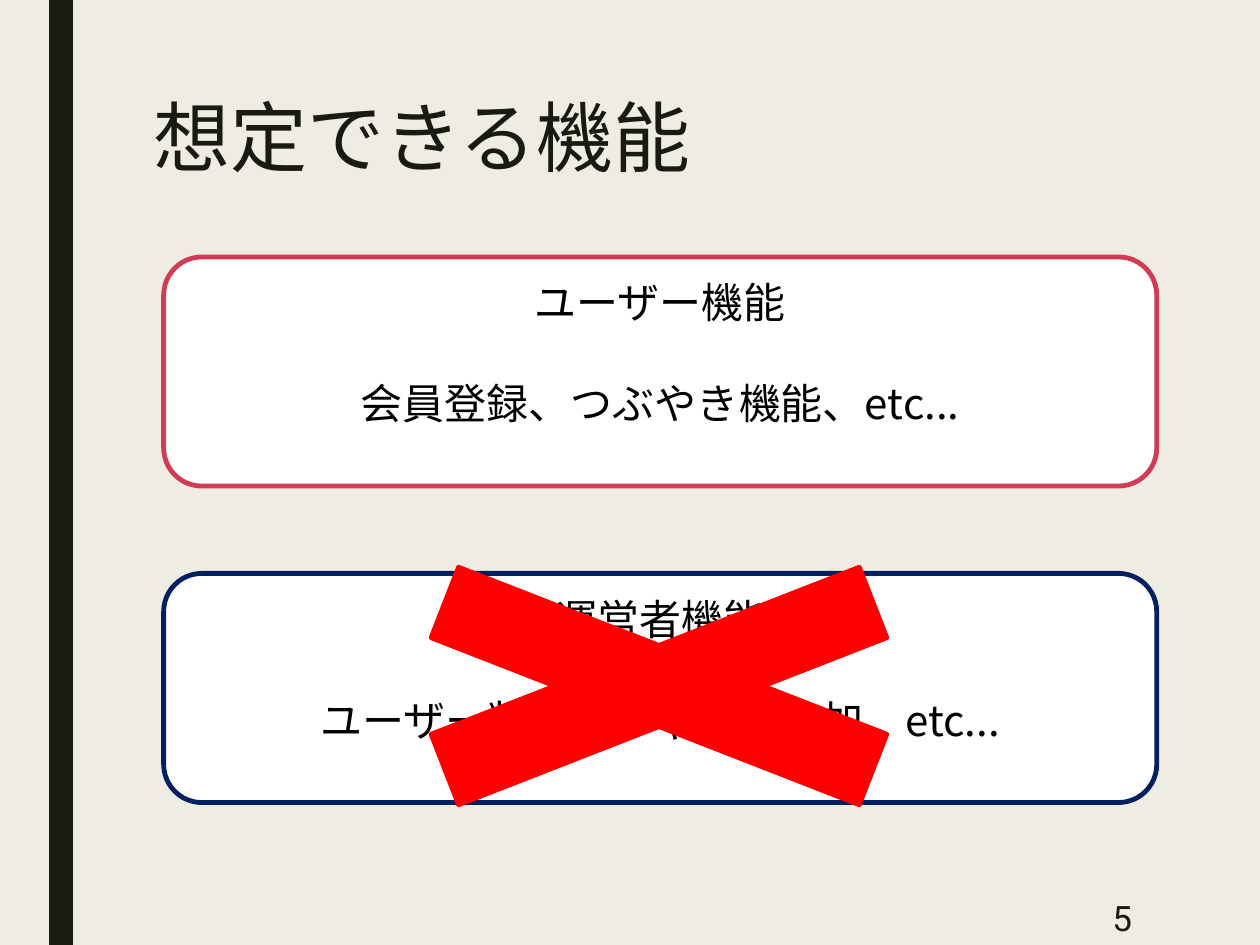
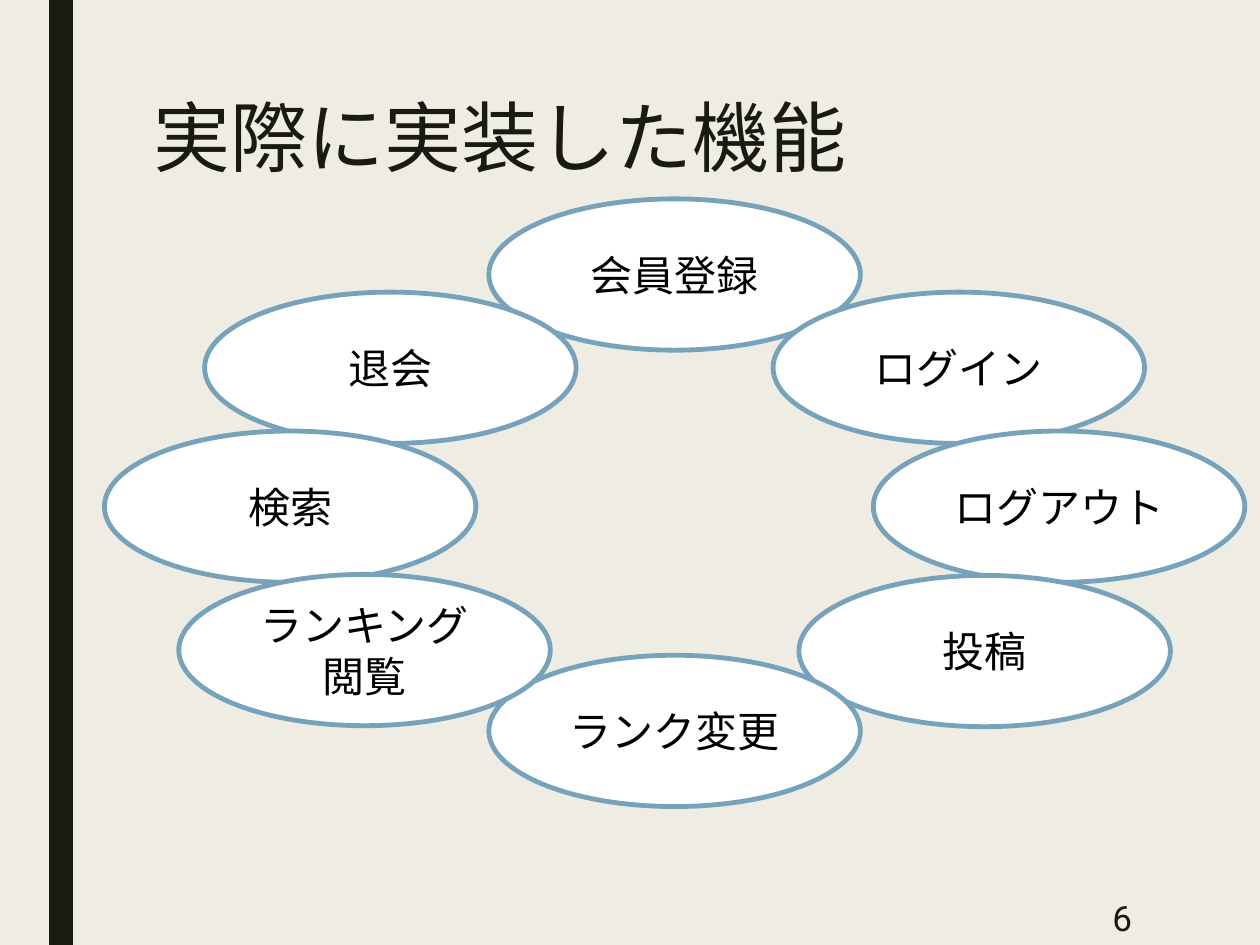
from dataclasses import dataclass

from pptx import Presentation
from pptx.dml.color import RGBColor
from pptx.enum.shapes import MSO_SHAPE
from pptx.enum.text import MSO_ANCHOR, MSO_AUTO_SIZE, PP_ALIGN
from pptx.presentation import Presentation as Deck
from pptx.shapes.autoshape import Shape
from pptx.slide import Slide
from pptx.text.text import TextFrame
from pptx.util import Cm, Pt

RECTANGLE = MSO_SHAPE.RECTANGLE
ROUNDED = MSO_SHAPE.ROUNDED_RECTANGLE
OVAL = MSO_SHAPE.OVAL
CROSS = MSO_SHAPE.MATH_MULTIPLY
TOP, MIDDLE = MSO_ANCHOR.TOP, MSO_ANCHOR.MIDDLE
LEFT, CENTER, RIGHT = PP_ALIGN.LEFT, PP_ALIGN.CENTER, PP_ALIGN.RIGHT
NO_FIT = MSO_AUTO_SIZE.NONE
TITLE_ONLY = 5


@dataclass(frozen=True)
class Theme:
    paper: str = "EFEDE3"
    ink: str = "191B0E"
    white: str = "FFFFFF"
    black: str = "000000"
    rose: str = "D13B56"
    navy: str = "002060"
    sky: str = "77A2BB"
    red: str = "FF0000"
    font: str = "Roboto"
    card_font: str = "Noto Sans CJK JP"
    title_size: float = 44
    body_size: float = 24
    number_size: float = 20
    outline: float = 2.75


@dataclass(frozen=True)
class Area:
    left: float
    top: float
    width: float
    height: float

    def lengths(self) -> tuple[Cm, Cm, Cm, Cm]:
        return Cm(self.left), Cm(self.top), Cm(self.width), Cm(self.height)


@dataclass(frozen=True)
class Card:
    heading: str
    features: str
    top: float
    color: str


@dataclass(frozen=True)
class Feature:
    name: str
    offset: float
    top: float


THEME = Theme()
BAND = Area(0.99, 0, 0.48, 19.05)
TITLE = Area(2.84, 1.9, 20.02, 4.11)
NUMBER = Area(19.74, 17.93, 3.33, 1.12)
CROSS_AREA = Area(4.98, 10.59, 16.61, 6.48)
CARD_LEFT, CARD_WIDTH, CARD_HEIGHT = 3.3, 20.02, 4.62
CARD_GAP, CARD_BOTTOM_INSET = 29, 0.89
RING_CENTER, OVAL_WIDTH, OVAL_HEIGHT = 13.6, 7.49, 3.05

CARDS = (
    Card("ユーザー機能", "会員登録、つぶやき機能、etc...", 5.18, THEME.rose),
    Card("運営者機能", "ユーザー削除、ジャンル追加、etc...", 11.56, THEME.navy),
)
FEATURES = (
    Feature("会員登録", 0, 4.01),
    Feature("ログイン", 5.73, 5.89),
    Feature("ログアウト", 7.75, 8.69),
    Feature("退会", -5.73, 5.89),
    Feature("投稿", 6.25, 11.6),
    Feature("検索", -7.75, 8.69),
    Feature("ランク変更", 0, 13.21),
    Feature("ランキング閲覧", -6.25, 11.58),
)


def write(frame: TextFrame, *lines: str, size: float = THEME.body_size,
          color: str = THEME.black, font: str = THEME.font,
          align: PP_ALIGN = CENTER, anchor: MSO_ANCHOR = MIDDLE,
          spacing: float | None = None, gap: float = 0) -> None:
    frame.word_wrap = True
    frame.auto_size = NO_FIT
    frame.vertical_anchor = anchor
    for index, line in enumerate(lines):
        para = frame.add_paragraph() if index else frame.paragraphs[0]
        para.alignment = align
        para.line_spacing = spacing
        para.space_before = Pt(gap if index else 0)
        span = para.add_run()
        span.text = line
        span.font.name = font
        span.font.size = Pt(size)
        span.font.color.rgb = RGBColor.from_string(color)


def draw(page: Slide, kind: MSO_SHAPE, area: Area, fill: str,
         line: str | None = None) -> Shape:
    shape = page.shapes.add_shape(kind, *area.lengths())
    shape.shadow.inherit = False
    shape.fill.solid()
    shape.fill.fore_color.rgb = RGBColor.from_string(fill)
    if line:
        shape.line.color.rgb = RGBColor.from_string(line)
        shape.line.width = Pt(THEME.outline)
    else:
        shape.line.fill.background()
    return shape


def add_page(deck: Deck, title: str, number: int) -> Slide:
    page = deck.slides.add_slide(deck.slide_layouts[TITLE_ONLY])
    draw(page, RECTANGLE, BAND, THEME.ink)
    heading = page.shapes.title
    heading.left, heading.top, heading.width, heading.height = TITLE.lengths()
    write(heading.text_frame, title, size=THEME.title_size, color=THEME.ink,
          align=LEFT, anchor=TOP, spacing=0.89)
    box = page.shapes.add_textbox(*NUMBER.lengths())
    write(box.text_frame, str(number), size=THEME.number_size,
          color=THEME.ink, align=RIGHT)
    return page


def add_card(page: Slide, card: Card) -> None:
    area = Area(CARD_LEFT, card.top, CARD_WIDTH, CARD_HEIGHT)
    box = draw(page, ROUNDED, area, THEME.white, card.color)
    box.text_frame.margin_bottom = Cm(CARD_BOTTOM_INSET)
    write(box.text_frame, card.heading, card.features,
          font=THEME.card_font, gap=CARD_GAP)


def add_feature(page: Slide, feature: Feature) -> None:
    left = RING_CENTER + feature.offset - OVAL_WIDTH / 2
    area = Area(left, feature.top, OVAL_WIDTH, OVAL_HEIGHT)
    oval = draw(page, OVAL, area, THEME.white, THEME.sky)
    write(oval.text_frame, feature.name)


def main() -> None:
    deck = Presentation()
    deck.slide_width, deck.slide_height = Cm(25.4), Cm(19.05)
    paper = deck.slide_master.background.fill
    paper.solid()
    paper.fore_color.rgb = RGBColor.from_string(THEME.paper)

    planned = add_page(deck, "想定できる機能", 5)
    for card in CARDS:
        add_card(planned, card)
    draw(planned, CROSS, CROSS_AREA, THEME.red, THEME.red)

    built = add_page(deck, "実際に実装した機能", 6)
    for feature in FEATURES:
        add_feature(built, feature)

    deck.save("out.pptx")


if __name__ == "__main__":
    main()
